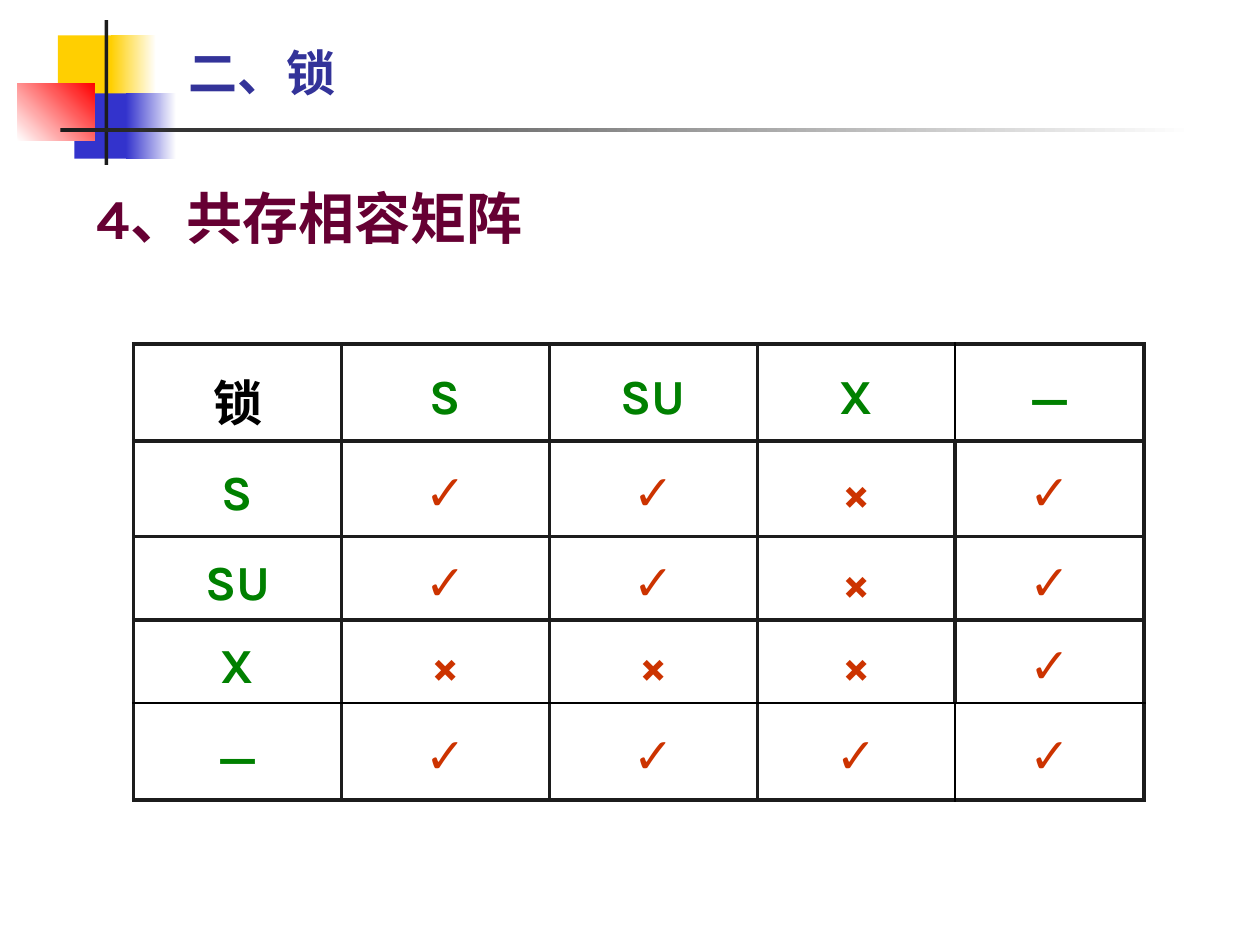
from typing import NamedTuple, Optional

from lxml.etree import SubElement
from pptx import Presentation
from pptx.dml.color import RGBColor
from pptx.enum.shapes import MSO_SHAPE
from pptx.enum.text import MSO_ANCHOR, PP_ALIGN
from pptx.oxml.ns import qn
from pptx.util import Inches, Pt

LATIN_FONT = "Karla"
CHINESE_FONT = "Noto Sans CJK SC"
DARK = "1C1C1C"
WHITE = "FFFFFF"


class Block(NamedTuple):
    left: float
    top: float
    width: float
    height: float
    color: str
    end_color: Optional[str] = None
    angle: float = 0


class Heading(NamedTuple):
    text: str
    left: float
    top: float
    width: float
    height: float
    size: int
    font: str
    color: str
    anchor: MSO_ANCHOR
    line_spacing: float


BLOCKS = [
    Block(0.46, 0.28, 0.48, 0.52, "FFCF01"),
    Block(0.88, 0.28, 0.36, 0.52, "FFCF01", WHITE),
    Block(0.59, 0.74, 0.46, 0.52, "3333CC"),
    Block(1, 0.74, 0.4, 0.52, "3333CC", WHITE),
    Block(0.14, 0.66, 0.61, 0.46, WHITE, "FF0000", 45),
    Block(0.83, 0.16, 0.03, 1.15, DARK),
    Block(0.48, 1.02, 9, 0.03, DARK, WHITE),
]
HEADINGS = [
    Heading("二、锁", 1.4, 0.36, 7.28, 0.43, 28, CHINESE_FONT, "333399",
            MSO_ANCHOR.MIDDLE, 1),
    Heading("4、共存相容矩阵", 0.67, 1.3, 7.24, 0.72, 32, LATIN_FONT, "660033",
            MSO_ANCHOR.TOP, 1.2),
]
LOCK_MATRIX = [
    ["锁", "S", "SU", "X", "－"],
    ["S", "✓", "✓", "×", "✓"],
    ["SU", "✓", "✓", "×", "✓"],
    ["X", "×", "×", "×", "✓"],
    ["－", "✓", "✓", "✓", "✓"],
]
COLUMN_WIDTHS = [1.65, 1.65, 1.65, 1.57, 1.5]
ROW_HEIGHTS = [0.77, 0.76, 0.65, 0.65, 0.77]


def rgb(color: str) -> RGBColor:
    return RGBColor.from_string(color)


def style_paragraph(paragraph, size: int, font: str, color: str, line_spacing: float) -> None:
    paragraph.line_spacing = line_spacing
    paragraph.font.size = Pt(size)
    paragraph.font.name = font
    paragraph.font.bold = True
    paragraph.font.color.rgb = rgb(color)


def add_block(slide, block: Block) -> None:
    shape = slide.shapes.add_shape(
        MSO_SHAPE.RECTANGLE, Inches(block.left), Inches(block.top),
        Inches(block.width), Inches(block.height))
    shape.shadow.inherit = False
    shape.line.fill.background()
    if block.end_color is None:
        shape.fill.solid()
        shape.fill.fore_color.rgb = rgb(block.color)
        return
    shape.fill.gradient()
    shape.fill.gradient_angle = block.angle
    for stop, color in zip(shape.fill.gradient_stops, (block.color, block.end_color)):
        stop.color.rgb = rgb(color)


def add_heading(slide, heading: Heading) -> None:
    box = slide.shapes.add_textbox(
        Inches(heading.left), Inches(heading.top),
        Inches(heading.width), Inches(heading.height))
    frame = box.text_frame
    frame.word_wrap = True
    frame.vertical_anchor = heading.anchor
    paragraph = frame.paragraphs[0]
    paragraph.text = heading.text
    style_paragraph(paragraph, heading.size, heading.font, heading.color, heading.line_spacing)


def set_borders(cell, thin_sides: set) -> None:
    properties = cell._tc.get_or_add_tcPr()
    for position, side in enumerate("LRTB"):
        thin = side in thin_sides
        line = SubElement(properties, qn(f"a:ln{side}"), w=str(Pt(1 if thin else 2.25)))
        fill = SubElement(line, qn("a:solidFill"))
        SubElement(fill, qn("a:srgbClr"), val="000000" if thin else DARK)
        properties.insert(position, line)  # borders come before the fill


def thin_sides_of(row: int, column: int) -> set:
    """Thin rules: above the last row, and beside the last column in the end rows."""
    last_row, last_column = len(ROW_HEIGHTS) - 1, len(COLUMN_WIDTHS) - 1
    sides = set()
    if row == last_row:
        sides.add("T")
    if row == last_row - 1:
        sides.add("B")
    if row in (0, last_row):
        if column == last_column:
            sides.add("L")
        if column == last_column - 1:
            sides.add("R")
    return sides


def text_color(row: int, column: int) -> str:
    if row == 0 and column == 0:
        return "000000"
    return "008000" if row == 0 or column == 0 else "CC3300"


def add_lock_matrix(slide) -> None:
    table = slide.shapes.add_table(
        len(ROW_HEIGHTS), len(COLUMN_WIDTHS), Inches(1.06), Inches(2.73),
        Inches(sum(COLUMN_WIDTHS)), Inches(sum(ROW_HEIGHTS))).table
    table.first_row = False
    table.horz_banding = False
    for column, width in zip(table.columns, COLUMN_WIDTHS):
        column.width = Inches(width)
    for row, height in zip(table.rows, ROW_HEIGHTS):
        row.height = Inches(height)
    for row_index, texts in enumerate(LOCK_MATRIX):
        for column_index, text in enumerate(texts):
            cell = table.cell(row_index, column_index)
            cell.fill.background()
            cell.vertical_anchor = MSO_ANCHOR.MIDDLE
            set_borders(cell, thin_sides_of(row_index, column_index))
            paragraph = cell.text_frame.paragraphs[0]
            paragraph.text = text
            paragraph.alignment = PP_ALIGN.CENTER
            style_paragraph(paragraph, 28, LATIN_FONT,
                            text_color(row_index, column_index), 1.2)


def main() -> None:
    presentation = Presentation()
    presentation.slide_width = Inches(10)
    presentation.slide_height = Inches(7.5)
    slide = presentation.slides.add_slide(presentation.slide_layouts[6])

    # Corner ornament and rules
    for block in BLOCKS:
        add_block(slide, block)
    # Title and section heading
    for heading in HEADINGS:
        add_heading(slide, heading)
    # Lock compatibility table
    add_lock_matrix(slide)

    presentation.save("out.pptx")


if __name__ == "__main__":
    main()
